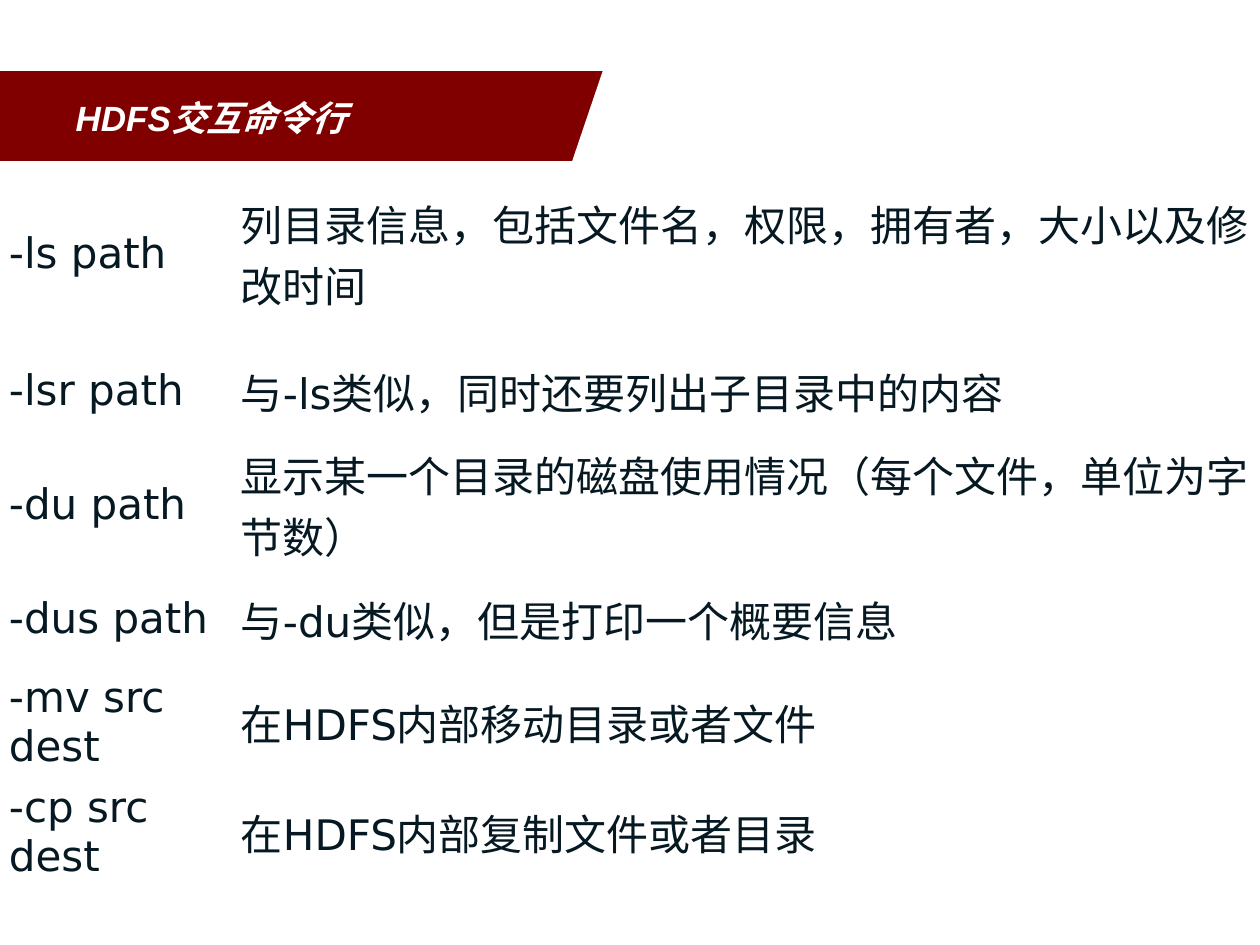
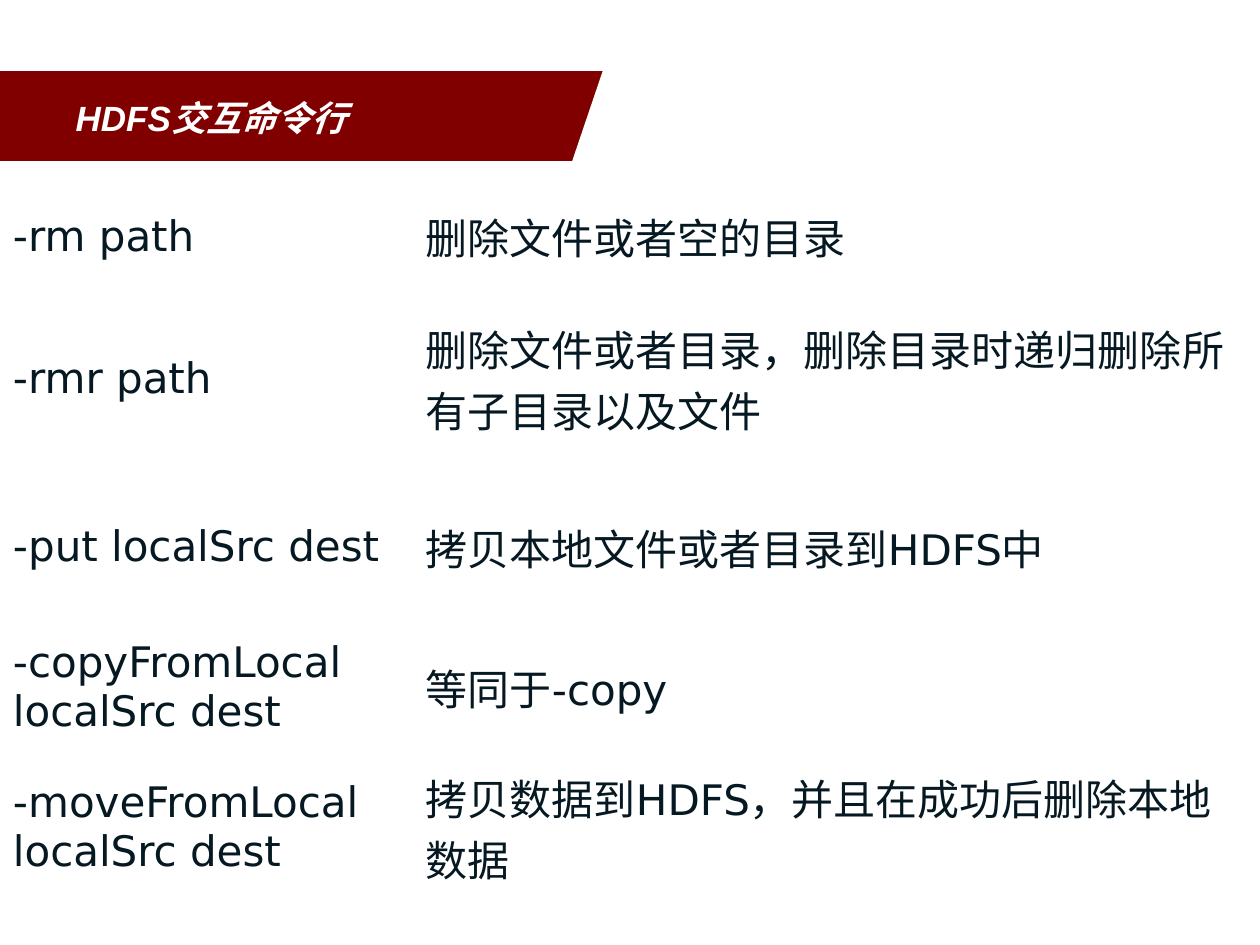
from dataclasses import dataclass
from typing import Any

from pptx import Presentation
from pptx.dml.color import RGBColor as Color
from pptx.enum.shapes import MSO_SHAPE as Form
from pptx.enum.text import MSO_ANCHOR as Anchor, PP_ALIGN as Align
from pptx.util import Emu, Pt


@dataclass(frozen=True)
class Theme:
    """Colours, fonts and type sizes of the deck."""
    band: Color = Color.from_string("800000")
    page: Color = Color.from_string("FFFFFF")
    head: Color = Color.from_string("FFFFFF")
    ink: Color = Color.from_string("061922")
    head_font: str = "Arial"
    body_font: str = "DejaVu Sans"
    head_size: int = 20
    body_size: int = 24


@dataclass(frozen=True)
class Part:
    """One plain shape of the slanted band."""
    form: Form
    box: tuple[int, int, int, int]
    color: Color
    line: float
    turn: int = 0


@dataclass(frozen=True)
class Sheet:
    """One slide: its title and its table of commands."""
    title: str
    top: int
    cols: tuple[int, ...]
    rows: tuple[int, ...]
    inset: int
    cells: tuple[tuple[str, str], ...]


THEME = Theme()
SCALE = 914400 / 126
WIDE, HIGH = 1260, 945
TITLE = "HDFS交互命令行"
TITLE_BOX = {"left": 63, "top": 56, "width": 1134, "height": 122}
BAND = (
    Part(Form.RECTANGLE, (0, 72, 1089, 88), THEME.band, 0.75),
    Part(Form.RIGHT_TRIANGLE, (-4, 311, 944, 320), THEME.page, 1, 270),
    Part(Form.RECTANGLE, (627, 0, 633, 944), THEME.page, 1),
)
HEAD = {"name": THEME.head_font, "size": Pt(THEME.head_size), "bold": True, "italic": True}
BODY = {"name": THEME.body_font, "size": Pt(THEME.body_size)}
SHEETS = (
    Sheet(TITLE, 164, (232, 1028), (180, 94, 122, 95, 111, 110), 9, (
        ("-ls path", "列目录信息，包括文件名，权限，拥有者，大小以及修改时间"),
        ("-lsr path", "与-ls类似，同时还要列出子目录中的内容"),
        ("-du path", "显示某一个目录的磁盘使用情况（每个文件，单位为字节数）"),
        ("-dus path", "与-du类似，但是打印一个概要信息"),
        ("-mv src dest", "在HDFS内部移动目录或者文件"),
        ("-cp src dest", "在HDFS内部复制文件或者目录"),
    )),
    Sheet(TITLE, 178, (413, 847), (117, 168, 168, 113, 168), 13, (
        ("-rm path", "删除文件或者空的目录"),
        ("-rmr path", "删除文件或者目录，删除目录时递归删除所有子目录以及文件"),
        ("-put localSrc dest", "拷贝本地文件或者目录到HDFS中"),
        ("-copyFromLocal localSrc dest", "等同于-copy"),
        ("-moveFromLocal localSrc dest", "拷贝数据到HDFS，并且在成功后删除本地数据"),
    )),
)


def px(size: int) -> Emu:
    """Turn pixels into EMU."""
    return Emu(round(size * SCALE))


def style(item: Any, form: dict[str, Any]) -> None:
    """Set attributes from a dict."""
    for key, value in form.items():
        setattr(item, key, value)


def write(frame: Any, text: str, form: dict[str, Any], color: Color) -> None:
    """Fill a text frame with one left-aligned run."""
    para = frame.paragraphs[0]
    para.alignment = Align.LEFT
    run = para.add_run()
    run.text = text
    style(run.font, form)
    run.font.color.rgb = color
    run._r.get_or_add_rPr().set("lang", "zh-CN")


def add_part(slide: Any, part: Part) -> None:
    """Draw one shape of the band."""
    shape = slide.shapes.add_shape(part.form, *map(px, part.box))
    shape.rotation = part.turn
    shape.shadow.inherit = False
    shape.fill.solid()
    shape.fill.fore_color.rgb = part.color
    shape.line.color.rgb = part.color
    shape.line.width = Pt(part.line)


def add_title(slide: Any, text: str) -> None:
    """Place and format the title above the band."""
    title = slide.shapes.title
    style(title, {key: px(size) for key, size in TITLE_BOX.items()})
    title.text_frame.vertical_anchor = Anchor.MIDDLE
    write(title.text_frame, text, HEAD, THEME.head)
    slide.shapes._spTree.append(title._element)


def add_grid(slide: Any, sheet: Sheet) -> None:
    """Add the table of commands and their meanings."""
    box = (px(0), px(sheet.top), px(sum(sheet.cols)), px(sum(sheet.rows)))
    grid = slide.shapes.add_table(len(sheet.rows), len(sheet.cols), *box).table
    style(grid, {"first_row": False, "horz_banding": False})
    for col, wide in zip(grid.columns, sheet.cols):
        col.width = px(wide)
    side, edge = px(sheet.inset), px(6)
    form = {"margin_left": side, "margin_right": side, "margin_top": edge,
            "margin_bottom": edge, "vertical_anchor": Anchor.MIDDLE}
    for row, high, texts in zip(grid.rows, sheet.rows, sheet.cells):
        row.height = px(high)
        for cell, text in zip(row.cells, texts):
            style(cell, form)
            cell.fill.background()
            write(cell.text_frame, text, BODY, THEME.ink)


def main() -> None:
    """Build and save the deck."""
    deck = Presentation()
    style(deck, {"slide_width": px(WIDE), "slide_height": px(HIGH)})
    for sheet in SHEETS:
        slide = deck.slides.add_slide(deck.slide_layouts.get_by_name("Title Only"))
        for part in BAND:
            add_part(slide, part)
        add_title(slide, sheet.title)
        add_grid(slide, sheet)
    deck.save("out.pptx")


if __name__ == "__main__":
    main()
